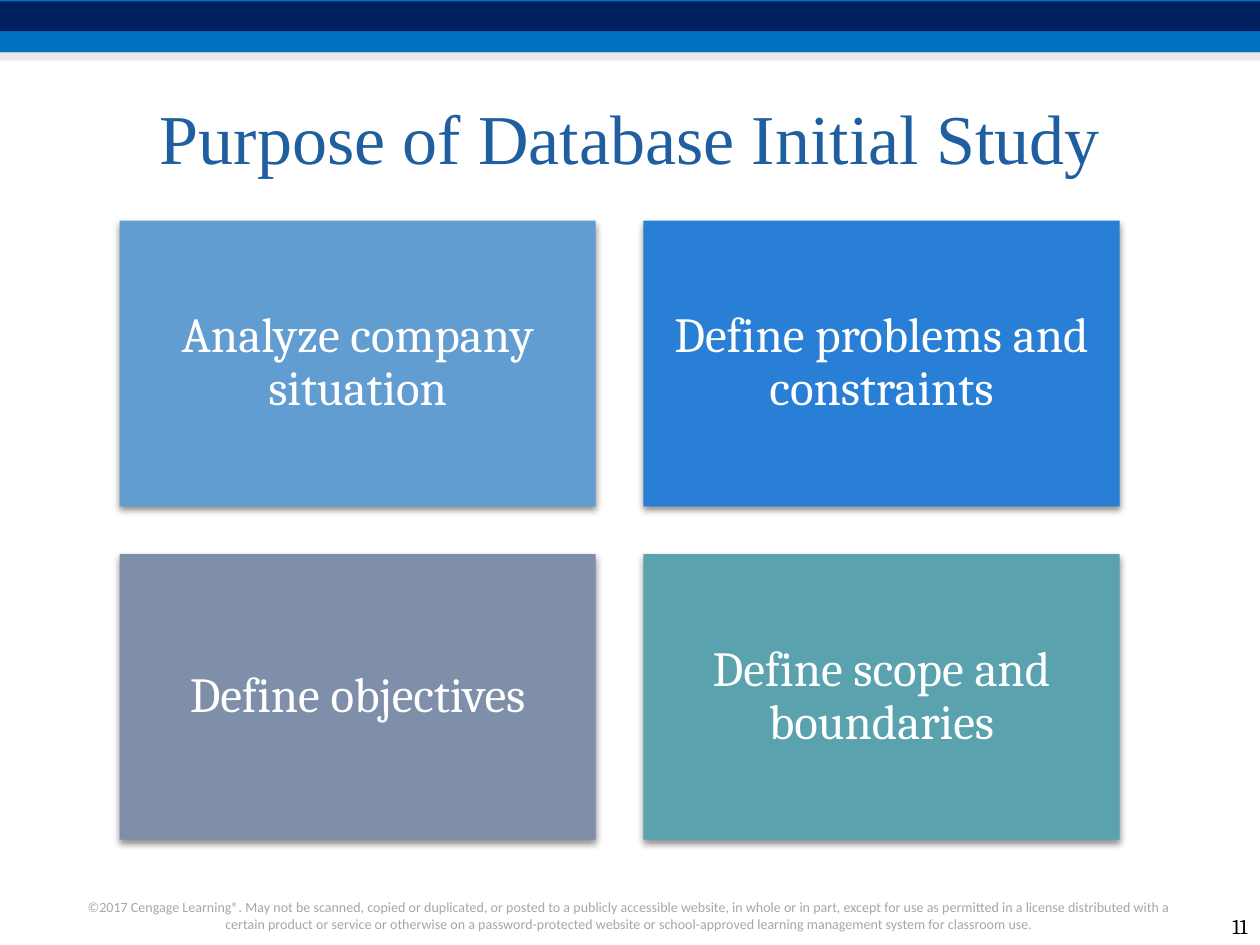
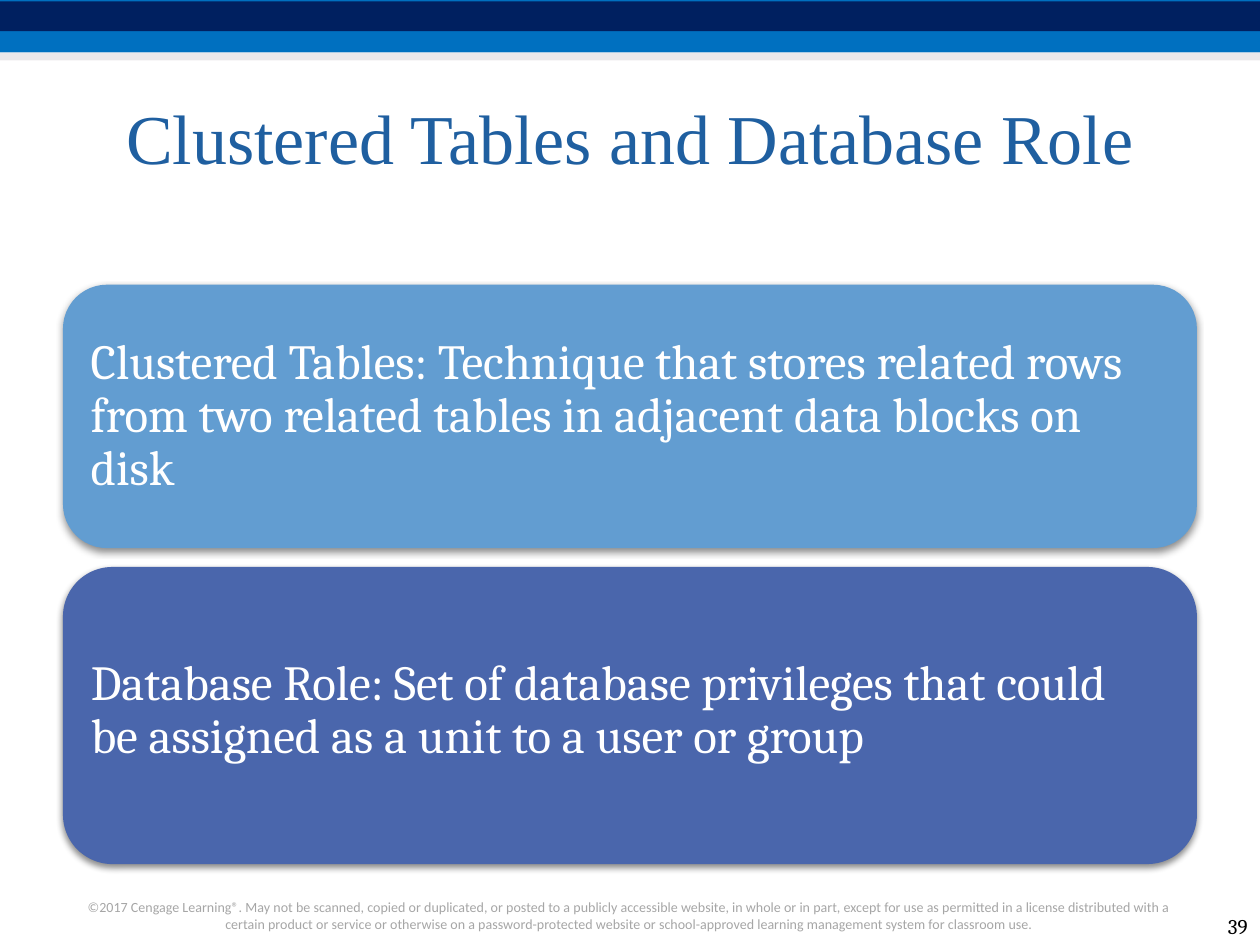
from lxml import etree
from pptx import Presentation
from pptx.dml.color import RGBColor
from pptx.enum import shapes, text
from pptx.oxml import ns
from pptx.util import Cm, Pt

NAVY = RGBColor(0x00, 0x20, 0x60)
BLUE = RGBColor(0x00, 0x70, 0xC0)
HAZE = RGBColor(0xD8, 0xD3, 0xD9)
TITLE = RGBColor(0x1F, 0x5F, 0xA0)
GREY = RGBColor(0xA6, 0xA6, 0xA6)
BLACK = RGBColor(0x00, 0x00, 0x00)
WHITE = RGBColor(0xFF, 0xFF, 0xFF)
SKY = RGBColor(0x62, 0x9D, 0xD1)
AZURE = RGBColor(0x29, 0x7F, 0xD5)
SLATE = RGBColor(0x7F, 0x8F, 0xA9)
TEAL = RGBColor(0x5A, 0xA2, 0xAE)
INDIGO = RGBColor(0x4A, 0x66, 0xAC)

WIDE, HIGH = 25.4, 19.05
RECT = shapes.MSO_SHAPE.RECTANGLE
ROUND = shapes.MSO_SHAPE.ROUNDED_RECTANGLE
LEFT, MID, RIGHT = (text.PP_ALIGN.LEFT, text.PP_ALIGN.CENTER,
                    text.PP_ALIGN.RIGHT)
TOP, CENTRE, BASE = (text.MSO_ANCHOR.TOP, text.MSO_ANCHOR.MIDDLE,
                     text.MSO_ANCHOR.BOTTOM)
RIGHTS = (
    "©2017 Cengage Learning®. May not be scanned, copied or duplicated, "
    "or posted to a publicly accessible website, in whole or in part, "
    "except for use as permitted in a license distributed with a certain "
    "product or service or otherwise on a password-protected website or "
    "school-approved learning management system for classroom use.")


def put(shape, words, size, font="Cambria", color=BLACK, align=MID,
        anchor=CENTRE, pad=(0.25, 0.13, 0.25, 0.13), lead=None):
    """Write one formatted paragraph; pad is left, top, right, bottom in cm."""
    frame = shape.text_frame
    frame.word_wrap = True
    frame.vertical_anchor = anchor
    (frame.margin_left, frame.margin_top,
     frame.margin_right, frame.margin_bottom) = map(Cm, pad)
    para = frame.paragraphs[0]
    para.text = words
    para.alignment = align
    if lead:
        para.line_spacing = lead
    para.font.size = Pt(size)
    para.font.name = font
    para.font.color.rgb = color


def block(slide, kind, spot, fill):
    """Add a plain filled shape; spot is left, top, width, height in cm."""
    shape = slide.shapes.add_shape(kind, *map(Cm, spot))
    shape.fill.solid()
    shape.fill.fore_color.rgb = fill
    shape.line.fill.background()
    shape.shadow.inherit = False
    return shape


def fade(color, percent):
    """Set the opacity of a colour element."""
    etree.SubElement(color, ns.qn("a:alpha"), val=str(percent * 1000))


def shade(shape):
    """Cast a soft shadow straight down."""
    effects = shape._element.spPr.find(ns.qn("a:effectLst"))
    outer = etree.SubElement(
        effects, ns.qn("a:outerShdw"), blurRad=str(Pt(4)), dist=str(Pt(2)),
        dir="5400000", rotWithShape="0")
    fade(etree.SubElement(outer, ns.qn("a:srgbClr"), val=str(BLACK)), 45)


def card(slide, words, spot, fill, kind=RECT, align=MID, pad=(0.3,) * 4):
    shape = block(slide, kind, spot, fill)
    shade(shape)
    put(shape, words, 28, color=WHITE, align=align, pad=pad, lead=0.9)


def label(slide, words, spot, size, **style):
    put(slide.shapes.add_textbox(*map(Cm, spot)), words, size, **style)


def page(deck, name, number):
    """Start a slide with its bands, title, copyright line and number."""
    slide = deck.slides.add_slide(deck.slide_layouts[5])
    # Top bands
    block(slide, RECT, (0, 0, WIDE, 1.06), BLUE)
    block(slide, RECT, (0, 0.03, WIDE, 0.6), NAVY)
    haze = block(slide, RECT, (0, 1.06, WIDE, 0.16), HAZE)
    fade(haze._element.spPr.find(".//" + ns.qn("a:srgbClr")), 50)
    # Title
    title = slide.shapes.title
    title.left, title.top, title.width, title.height = map(
        Cm, (1.27, 1.27, 22.86, 2.97))
    put(title, name, 40, font="Times New Roman", color=TITLE)
    # Footer
    label(slide, RIGHTS, (1.48, 17.98, 22.43, 0.94), 8,
          font="Calibri", color=GREY, anchor=TOP)
    label(slide, str(number), (24.13, 18.21, 1.27, 0.84), 12,
          align=RIGHT, anchor=BASE)
    return slide


def study(deck):
    slide = page(deck, "Purpose of Database Initial Study", 11)
    goals = [("Analyze company situation", SKY),
             ("Define problems and constraints", AZURE),
             ("Define objectives", SLATE),
             ("Define scope and boundaries", TEAL)]
    left, top, wide, high, gap = 2.41, 4.45, 9.6, 5.76, 0.96
    for i, (words, fill) in enumerate(goals):
        row, col = divmod(i, 2)
        spot = (left + col * (wide + gap), top + row * (high + gap),
                wide, high)
        card(slide, words, spot, fill)


def terms(deck):
    slide = page(deck, "Clustered Tables and Database Role", 39)
    card(slide, "Clustered Tables: Technique that stores related rows from "
         "two related tables in adjacent data blocks on disk",
         (1.27, 5.74, 22.86, 5.31), SKY, kind=ROUND, align=LEFT)
    card(slide, "Database Role: Set of database privileges that could be "
         "assigned as a unit to a user or group",
         (1.27, 11.43, 22.86, 5.99), INDIGO, kind=ROUND, align=LEFT,
         pad=(0.27, 0.3, 0.44, 0.47))


def main():
    deck = Presentation()
    deck.slide_width, deck.slide_height = Cm(WIDE), Cm(HIGH)
    study(deck)
    terms(deck)
    deck.save("out.pptx")


if __name__ == "__main__":
    main()
